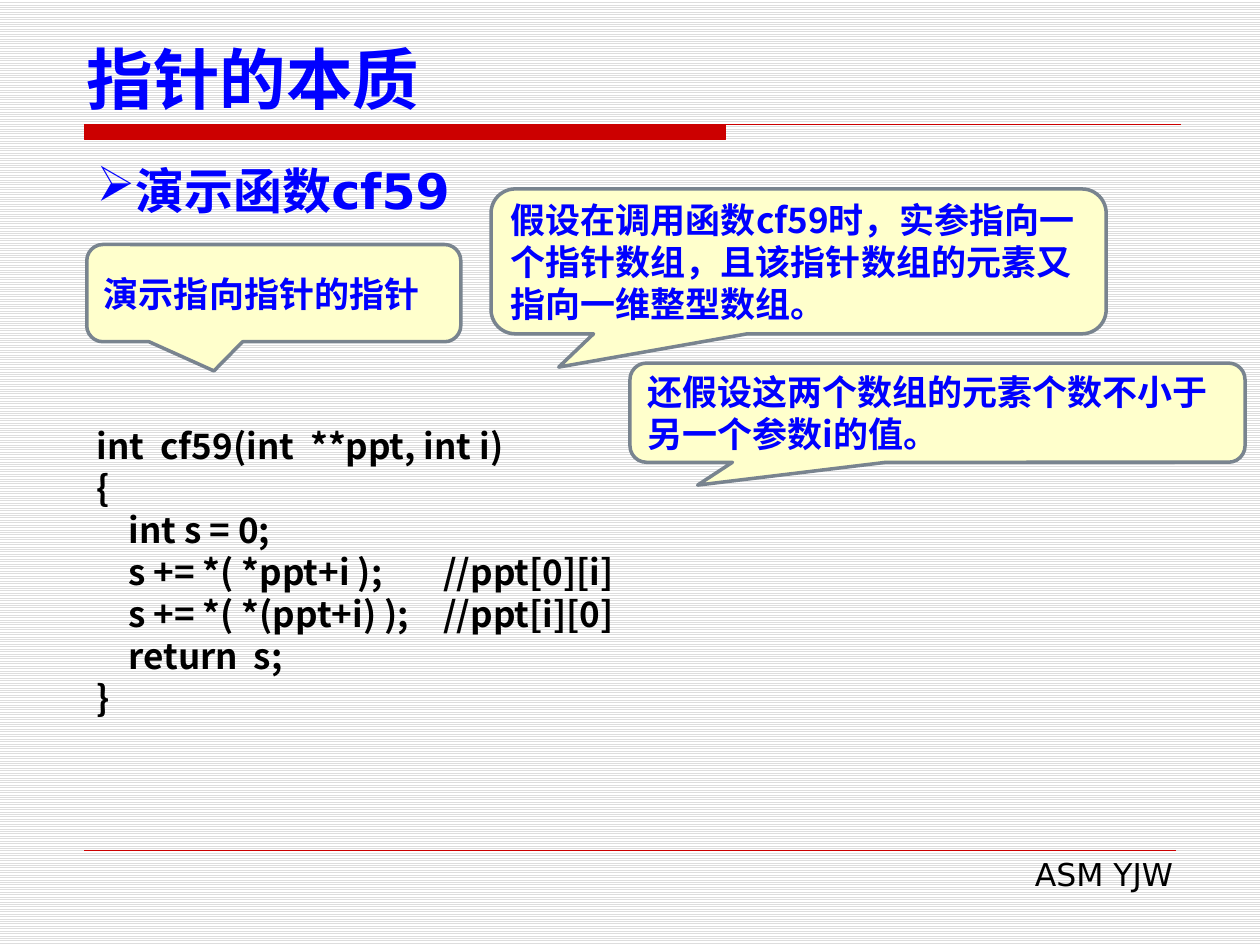
from lxml.etree import SubElement
from pptx import Presentation
from pptx.dml.color import RGBColor
from pptx.enum.dml import MSO_PATTERN
from pptx.enum.shapes import MSO_CONNECTOR, MSO_SHAPE
from pptx.enum.text import MSO_ANCHOR, PP_ALIGN
from pptx.oxml.ns import qn
from pptx.util import Cm, Pt

BLACK = RGBColor(0x00, 0x00, 0x00)
BLUE = RGBColor(0x00, 0x00, 0xFF)
RED = RGBColor(0xCC, 0x00, 0x00)
CREAM = RGBColor(0xFF, 0xFF, 0xCC)
SLATE = RGBColor(0x79, 0x84, 0x8F)
STRIPE = RGBColor(0xDD, 0xDD, 0xDD)
WHITE = RGBColor(0xFF, 0xFF, 0xFF)

HEADING_FONT = "DejaVu Sans"
BODY_FONT = "Noto Sans CJK SC"
TITLE = {"name": HEADING_FONT, "size": Pt(38), "bold": True}
TOPIC = {"name": HEADING_FONT, "size": Pt(28), "bold": True}
BODY = {"name": BODY_FONT, "size": Pt(20), "bold": True}
FOOTER = {"name": HEADING_FONT, "size": Pt(18), "bold": False}
BODY_SPACING = {"line_spacing": Pt(24)}


class SlideBuilder:
    def __init__(self, slide):
        self.slide = slide
        self.shapes = slide.shapes

    def background(self, stripe, base):
        fill = self.slide.background.fill
        fill.patterned()
        fill.pattern = MSO_PATTERN.LIGHT_HORIZONTAL
        fill.fore_color.rgb = stripe
        fill.back_color.rgb = base

    def paragraph(self, paragraph, text, font, color, layout):
        run = paragraph.add_run()
        run.text = text
        for name, value in font.items():
            setattr(run.font, name, value)
        run.font.color.rgb = color
        east_asian = SubElement(run.font._element, qn("a:ea"))
        east_asian.set("typeface", BODY_FONT)
        for name, value in layout.items():
            setattr(paragraph, name, value)

    def text(self, box, lines, font, color, layout=None, anchor=MSO_ANCHOR.TOP):
        frame = self.shapes.add_textbox(*map(Cm, box)).text_frame
        frame.word_wrap = True
        frame.vertical_anchor = anchor
        for number, line in enumerate(lines):
            paragraph = frame.add_paragraph() if number else frame.paragraphs[0]
            self.paragraph(paragraph, line, font, color, layout or {})
        return frame.paragraphs

    def bullet(self, paragraph, symbol):
        SubElement(paragraph._p.get_or_add_pPr(), qn("a:buChar")).set("char", symbol)

    def indent(self, paragraph, margin, tab=None):
        properties = paragraph._p.get_or_add_pPr()
        properties.set("marL", str(Cm(margin)))
        properties.set("indent", "0")
        if tab:
            stops = SubElement(properties, qn("a:tabLst"))
            SubElement(stops, qn("a:tab"), pos=str(Cm(tab)), algn="l")

    def callout(self, box, text, tip):
        shape = self.shapes.add_shape(
            MSO_SHAPE.ROUNDED_RECTANGULAR_CALLOUT, *map(Cm, box))
        shape.adjustments[0], shape.adjustments[1] = tip
        shape.shadow.inherit = False
        shape.fill.solid()
        shape.fill.fore_color.rgb = CREAM
        shape.line.color.rgb = SLATE
        shape.line.width = Pt(2)
        frame = shape.text_frame
        frame.word_wrap = True
        frame.vertical_anchor = MSO_ANCHOR.MIDDLE
        self.paragraph(frame.paragraphs[0], text, BODY, BLUE,
                       {"alignment": PP_ALIGN.LEFT, **BODY_SPACING})

    def title_rule(self, left, top, bar_width, rule_width, height):
        x, y, bar_right, rule_right, bottom = map(
            Cm, (left, top, left + bar_width, left + rule_width, top + height))
        outline = self.shapes.build_freeform(x, y)
        outline.add_line_segments([(bar_right, y), (bar_right, bottom), (x, bottom)])
        outline.move_to(x, y)
        outline.add_line_segments([(rule_right, y)], close=False)
        rule = outline.convert_to_shape()
        rule.shadow.inherit = False
        rule.fill.solid()
        rule.fill.fore_color.rgb = RED
        rule.line.color.rgb = RED
        rule.line.width = Pt(0.75)

    def line(self, left, right, y, color, width):
        line = self.shapes.add_connector(
            MSO_CONNECTOR.STRAIGHT, Cm(left), Cm(y), Cm(right), Cm(y))
        line.line.color.rgb = color
        line.line.width = Pt(width)
        SubElement(line._element.spPr, qn("a:effectLst"))


def main():
    presentation = Presentation()
    presentation.slide_width, presentation.slide_height = Cm(25.4), Cm(19.05)
    page = SlideBuilder(presentation.slides.add_slide(presentation.slide_layouts[6]))

    # Background, rules and footer
    page.background(STRIPE, WHITE)
    page.title_rule(1.7, 2.51, 12.93, 22.1, 0.3)
    page.line(1.7, 23.7, 17.15, RED, 0.25)
    page.text((9.7, 17.12, 14.2, 1.02), ["ASM YJW"], FOOTER, BLACK,
              {"alignment": PP_ALIGN.RIGHT})

    # Title and topic
    page.text((1.5, 0.71, 23.01, 1.8), ["指针的本质"], TITLE, BLUE,
              anchor=MSO_ANCHOR.BOTTOM)
    topic = page.text((1.7, 3.12, 22, 1.45), ["演示函数cf59"], TOPIC, BLUE,
                      {"alignment": PP_ALIGN.JUSTIFY})
    page.bullet(topic[0], "➢")

    # Function listing: statements indented, comments on a tab stop
    code = page.text((1.7, 8.43, 16.81, 6.25), [
        "int  cf59(int  **ppt, int i)",
        "{",
        "int s = 0;",
        "s += *( *ppt+i );\t//ppt[0][i]",
        "s += *( *(ppt+i) );\t//ppt[i][0]",
        "return  s;",
        "}",
    ], BODY, BLACK, BODY_SPACING)
    for statement, comment_tab in zip(code[2:6], (None, 7.52, 7.74, None)):
        page.indent(statement, 0.64, comment_tab)

    # Callouts
    page.callout((1.75, 4.93, 7.54, 1.96), "演示指向指针的指针", (-0.16, 0.8))
    for box, assumption in (
        ((9.9, 3.81, 12.4, 2.92),
         "假设在调用函数cf59时，实参指向一个指针数组，且该指针数组的元素又指向一维整型数组。"),
        ((12.7, 7.32, 12.4, 2),
         "还假设这两个数组的元素个数不小于另一个参数i的值。"),
    ):
        page.callout(box, assumption, (-0.39, 0.73))

    presentation.save("out.pptx")


if __name__ == "__main__":
    main()
